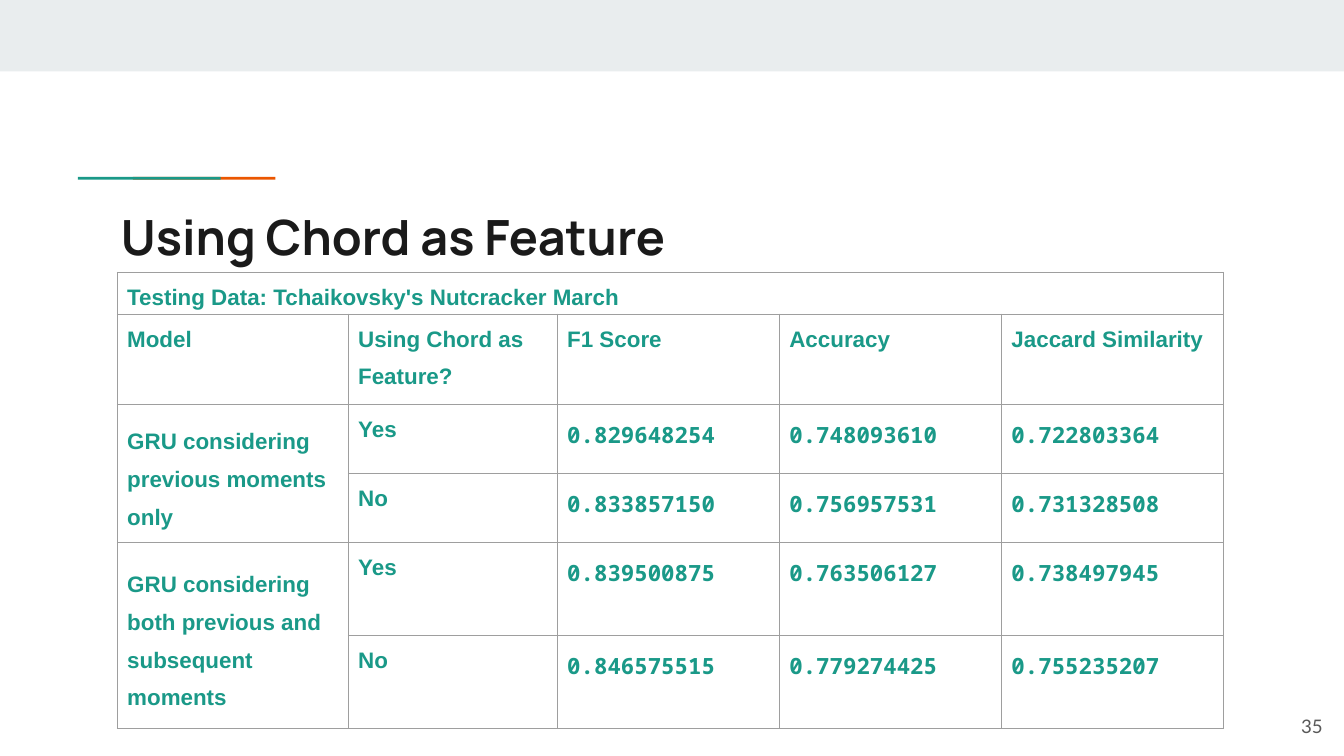
from lxml import etree
from pptx import Presentation
from pptx.dml.color import RGBColor
from pptx.enum.shapes import MSO_SHAPE
from pptx.enum.text import MSO_ANCHOR, PP_ALIGN
from pptx.oxml.ns import qn
from pptx.util import Pt

RECT = MSO_SHAPE.RECTANGLE
TOP, MIDDLE = MSO_ANCHOR.TOP, MSO_ANCHOR.MIDDLE
LEFT, RIGHT = PP_ALIGN.LEFT, PP_ALIGN.RIGHT

COLORS = {
    "band": "E9EDEE",
    "teal": "1A9988",
    "orange": "EB5600",
    "title": "1A1A1A",
    "number": "595959",
    "border": "9E9E9E",
}

COLUMN_WIDTHS = [123.75, 112, 119, 119, 119]
ROW_HEIGHTS = [22.5, 48.25, 37, 37, 49.75, 49.75]
CAPTION = "Testing Data: Tchaikovsky's Nutcracker March"
HEADINGS = ["Model", "Using Chord as Feature?", "F1 Score", "Accuracy", "Jaccard Similarity"]
RESULTS = [
    ["GRU considering previous moments only", "Yes", "0.829648254", "0.748093610", "0.722803364"],
    ["", "No", "0.833857150", "0.756957531", "0.731328508"],
    ["GRU considering both previous and subsequent moments",
     "Yes", "0.839500875", "0.763506127", "0.738497945"],
    ["", "No", "0.846575515", "0.779274425", "0.755235207"],
]


def write_text(frame, text, *, font, size, color, bold=False, align=LEFT, spacing=1.0):
    paragraph = frame.paragraphs[0]
    paragraph.alignment = align
    paragraph.line_spacing = spacing
    run = paragraph.add_run()
    run.text = text
    run.font.name = font
    run.font.size = Pt(size)
    run.font.bold = bold
    run.font.color.rgb = RGBColor.from_string(COLORS[color])


def set_frame(frame, anchor, inset=7.2):
    frame.word_wrap = True
    frame.vertical_anchor = anchor
    frame.margin_left = frame.margin_right = Pt(inset)
    frame.margin_top = frame.margin_bottom = Pt(inset)


def add_borders(cell):
    properties = cell._tc.get_or_add_tcPr()
    for position, side in enumerate(("a:lnL", "a:lnR", "a:lnT", "a:lnB")):
        line = etree.Element(qn(side), w=str(Pt(0.75)))
        fill = etree.SubElement(line, qn("a:solidFill"))
        etree.SubElement(fill, qn("a:srgbClr"), val=COLORS["border"])
        properties.insert(position, line)


class SlideBuilder:
    def __init__(self, slide):
        self.slide = slide
        self.table_style = {"size": 12, "color": "teal", "bold": True, "spacing": 1.5}

    def bar(self, left, top, width, height, color):
        shape = self.slide.shapes.add_shape(RECT, Pt(left), Pt(top), Pt(width), Pt(height))
        shape.shadow.inherit = False
        shape.fill.solid()
        shape.fill.fore_color.rgb = RGBColor.from_string(COLORS[color])
        shape.line.fill.background()

    def title(self, text, left, top, width, height):
        title = self.slide.shapes.title
        title.left, title.top = Pt(left), Pt(top)
        title.width, title.height = Pt(width), Pt(height)
        set_frame(title.text_frame, TOP)
        write_text(title.text_frame, text, font="Manrope", size=26, color="title", bold=True)

    def page_number(self, text, left, top, width, height):
        box = self.slide.shapes.add_textbox(Pt(left), Pt(top), Pt(width), Pt(height))
        set_frame(box.text_frame, MIDDLE)
        write_text(box.text_frame, text, font="Lato", size=10, color="number", align=RIGHT)

    def cell(self, cell, text, font):
        cell.fill.background()
        cell.margin_left = cell.margin_right = Pt(5.25)
        cell.margin_top = cell.margin_bottom = 0
        cell.vertical_anchor = MIDDLE if cell.is_merge_origin and cell.span_height > 1 else TOP
        add_borders(cell)
        if text:
            write_text(cell.text_frame, text, font=font, **self.table_style)

    def results_table(self, left, top):
        rows = [[CAPTION, "", "", "", ""], HEADINGS, *RESULTS]
        table = self.slide.shapes.add_table(
            len(rows), len(HEADINGS), Pt(left), Pt(top),
            Pt(sum(COLUMN_WIDTHS)), Pt(sum(ROW_HEIGHTS))).table
        table.first_row = table.horz_banding = False
        for column, width in zip(table.columns, COLUMN_WIDTHS):
            column.width = Pt(width)
        for row, height in zip(table.rows, ROW_HEIGHTS):
            row.height = Pt(height)
        table.cell(0, 0).merge(table.cell(0, len(HEADINGS) - 1))
        for first in (2, 4):
            table.cell(first, 0).merge(table.cell(first + 1, 0))
        for r, values in enumerate(rows):
            for c, value in enumerate(values):
                is_score = r >= 2 and c >= 2
                self.cell(table.cell(r, c), value, "Noto Sans Mono" if is_score else "Arial")


def main():
    deck = Presentation()
    deck.slide_width, deck.slide_height = Pt(720), Pt(405)
    builder = SlideBuilder(deck.slides.add_slide(deck.slide_layouts[5]))
    builder.bar(0, 0, 720, 38.25, "band")
    builder.bar(71.25, 94.75, 76.25, 1.5, "orange")
    builder.bar(41.75, 94.75, 76.5, 1.5, "teal")
    builder.title("Using Chord as Feature", 57.6, 103.7, 605.5, 42.5)
    builder.page_number("35", 672.5, 373.7, 43.2, 31)
    builder.results_table(62.9, 145.9)
    deck.save("out.pptx")


if __name__ == "__main__":
    main()
